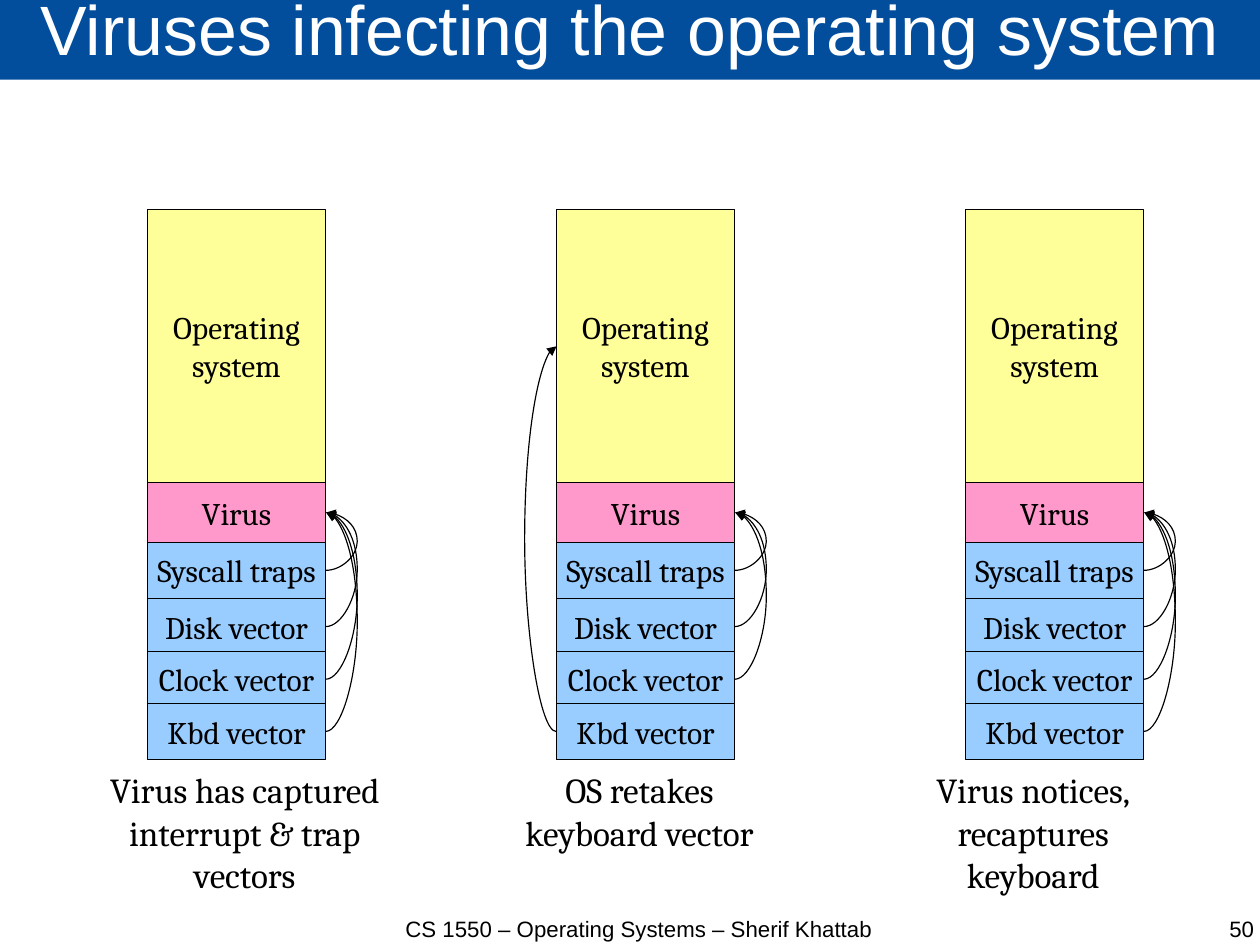
from lxml import etree
from pptx import Presentation
from pptx.dml.color import RGBColor
from pptx.enum import shapes, text
from pptx.oxml.ns import qn
from pptx.util import Cm, Pt

BLACK = "000000"
BLOCKS = [  # label, top, height, fill
    ("Operating\vsystem", 4.66, 6.07, "FFFF99"),
    ("Virus", 10.73, 1.32, "FF99CC"),
    ("Syscall traps", 12.05, 1.25, "99CCFF"),
    ("Disk vector", 13.3, 1.25, "99CCFF"),
    ("Clock vector", 14.47, 1.25, "99CCFF"),
    ("Kbd vector", 15.63, 1.25, "99CCFF"),
]
STAGES = [  # caption, caption centre, does the keyboard vector point to the virus
    ("Virus has captured\vinterrupt & trap vectors", 5.44, True),
    ("OS retakes\vkeyboard vector", 14.21, False),
    ("Virus notices,\vrecaptures keyboard", 22.96, True),
]
FIRST_LEFT, STAGE_PITCH, BLOCK_WIDTH = 3.27, 9.09, 3.97
CAPTION_WIDTH = 6.7
ARROW_WIDTH, ARROW_BULGE = 0.01, 0.7
LEFT_SIDE, RIGHT_SIDE = 1, 3


def colour(hex_string):
    return RGBColor.from_string(hex_string)


def write(shape, words, size, font, font_colour=BLACK, align=text.PP_ALIGN.CENTER,
          wrap=True):
    frame = shape.text_frame
    paragraph = frame.paragraphs[0]
    paragraph.text = words
    frame.word_wrap = wrap
    paragraph.alignment = align
    for run in paragraph.runs:
        run.font.size = Pt(size)
        run.font.name = font
        run.font.color.rgb = colour(font_colour)
    return frame


def remove_margins(frame):
    frame.margin_left = frame.margin_right = 0
    frame.margin_top = frame.margin_bottom = 0


def add_box(slide, left, top, width, height, fill, outlined=True):
    box = slide.shapes.add_shape(shapes.MSO_SHAPE.RECTANGLE, Cm(left), Cm(top),
                                 Cm(width), Cm(height))
    box.shadow.inherit = False
    box.fill.solid()
    box.fill.fore_color.rgb = colour(fill)
    if outlined:
        box.line.color.rgb = colour(BLACK)
        box.line.width = Pt(0.75)
    else:
        box.line.fill.background()
    box.text_frame.vertical_anchor = text.MSO_ANCHOR.MIDDLE
    return box


def add_title(slide, words):
    banner = add_box(slide, 0, -0.06, 28.03, 1.83, "024E9D", outlined=False)
    frame = write(banner, words, 44, "Arial", "FFFFFF")
    remove_margins(frame)
    frame.paragraphs[0].line_spacing = 0.69


def add_footer(slide, words, left, width, align):
    box = slide.shapes.add_textbox(Cm(left), Cm(20.35), Cm(width), Cm(0.64))
    remove_margins(write(box, words, 14, "Arial", align=align))


def add_caption(slide, words, centre):
    box = slide.shapes.add_textbox(Cm(centre - CAPTION_WIDTH / 2), Cm(16.96),
                                   Cm(CAPTION_WIDTH), Cm(2.13))
    frame = write(box, words, 22.1, "Cambria")
    frame.auto_size = text.MSO_AUTO_SIZE.SHAPE_TO_FIT_TEXT


def add_curved_arrow(slide, source, target, side):
    """Join the same side of two blocks with a curve that bulges outwards."""
    arrow = slide.shapes.add_connector(shapes.MSO_CONNECTOR.CURVE, 0, 0, 0, 0)
    arrow.begin_connect(source, side)
    arrow.end_connect(target, side)
    arrow.width = Cm(ARROW_WIDTH)
    arrow.line.color.rgb = colour(BLACK)
    arrow.line.width = Pt(0.75)

    on_left = side == LEFT_SIDE
    properties = arrow.element.spPr
    transform = properties.find(qn("a:xfrm"))
    transform.set("rot", "10800000" if on_left else "0")
    transform.set("flipH", "1" if on_left else "0")
    transform.set("flipV", "0" if on_left else "1")
    bulge = round(ARROW_BULGE / ARROW_WIDTH * 100000) * (-1 if on_left else 1)
    guides = properties.find(qn("a:prstGeom")).find(qn("a:avLst"))
    etree.SubElement(guides, qn("a:gd"), name="adj1", fmla=f"val {bulge}")
    etree.SubElement(properties.find(qn("a:ln")), qn("a:tailEnd"), type="triangle")
    etree.SubElement(properties, qn("a:effectLst"))


def add_memory_stack(slide, left, keyboard_to_virus):
    blocks = []
    for label, top, height, fill in BLOCKS:
        block = add_box(slide, left, top, BLOCK_WIDTH, height, fill)
        write(block, label, 19.8, "Cambria", wrap=False)
        blocks.append(block)
    system, virus, *vectors, keyboard = blocks
    for vector in vectors:
        add_curved_arrow(slide, vector, virus, RIGHT_SIDE)
    if keyboard_to_virus:
        add_curved_arrow(slide, keyboard, virus, RIGHT_SIDE)
    else:
        add_curved_arrow(slide, keyboard, system, LEFT_SIDE)


def main():
    presentation = Presentation()
    presentation.slide_width = Cm(28)
    presentation.slide_height = Cm(21)
    slide = presentation.slides.add_slide(presentation.slide_layouts[6])

    add_title(slide, "Viruses infecting the operating system")
    add_footer(slide, "CS 1550 – Operating Systems – Sherif Khattab", 7.8, 12.8,
               text.PP_ALIGN.CENTER)
    add_footer(slide, "50", 21.44, 6.43, text.PP_ALIGN.RIGHT)
    for index, (caption, centre, keyboard_to_virus) in enumerate(STAGES):
        add_memory_stack(slide, FIRST_LEFT + index * STAGE_PITCH, keyboard_to_virus)
        add_caption(slide, caption, centre)

    presentation.save("out.pptx")


if __name__ == "__main__":
    main()
